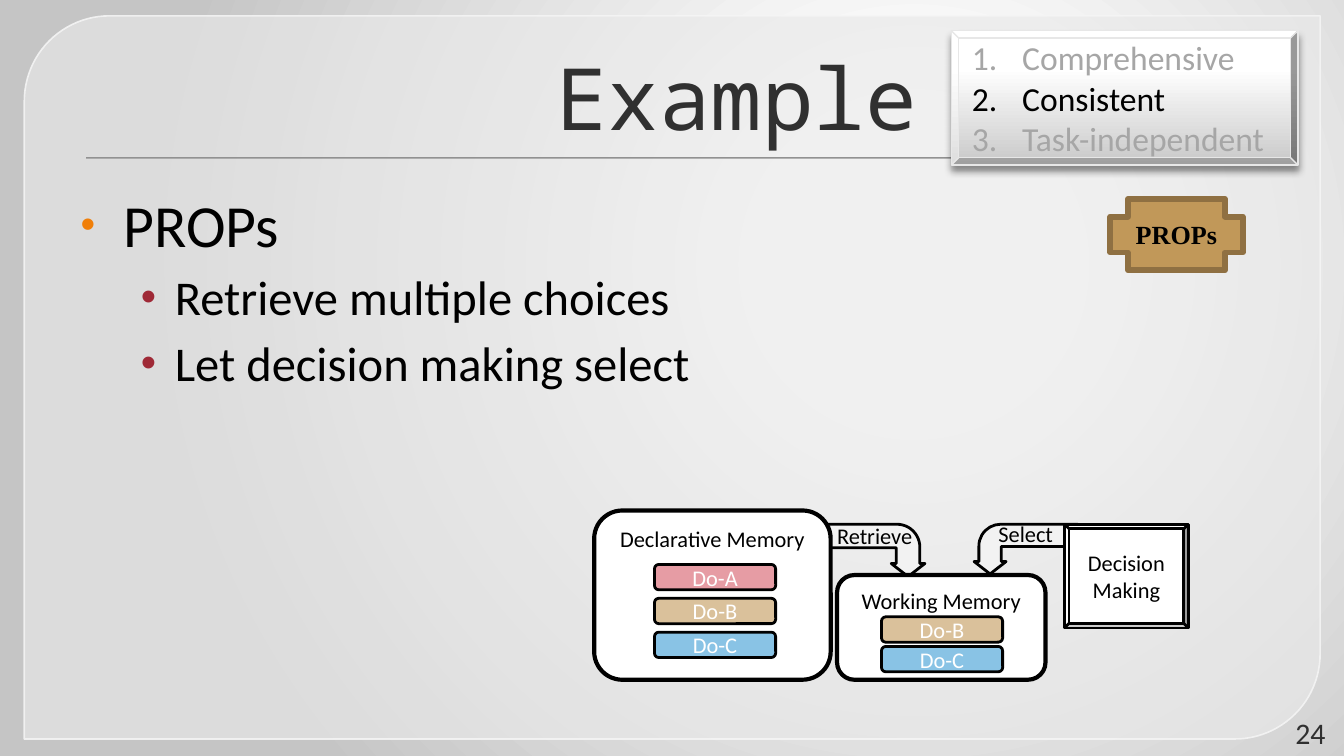
from lxml import etree
from pptx import Presentation
from pptx.dml.color import RGBColor
from pptx.enum.shapes import MSO_SHAPE
from pptx.enum.text import MSO_ANCHOR, MSO_AUTO_SIZE, PP_ALIGN
from pptx.oxml.ns import qn
from pptx.util import Cm, Pt

ROUND, BEVEL, BENT_ARROW = MSO_SHAPE.ROUNDED_RECTANGLE, MSO_SHAPE.BEVEL, MSO_SHAPE.BENT_ARROW
RECT, PLUS, PANEL = MSO_SHAPE.RECTANGLE, MSO_SHAPE.CROSS, MSO_SHAPE.ROUND_2_DIAG_RECTANGLE
TOP, MIDDLE, BOTTOM = MSO_ANCHOR.TOP, MSO_ANCHOR.MIDDLE, MSO_ANCHOR.BOTTOM
LEFT, CENTER, RIGHT = PP_ALIGN.LEFT, PP_ALIGN.CENTER, PP_ALIGN.RIGHT
NO_AUTOFIT = MSO_AUTO_SIZE.NONE

BLACK = RGBColor(0x00, 0x00, 0x00)
WHITE = RGBColor(0xFF, 0xFF, 0xFF)
DARK = RGBColor(0x30, 0x30, 0x30)
MUTED = RGBColor(0xA6, 0xA6, 0xA6)
RULE_GREY = RGBColor(0x91, 0x91, 0x91)
PANEL_GREY = RGBColor(0xE9, 0xE9, 0xE9)
PANEL_EDGE = RGBColor(0xF5, 0xF5, 0xF5)
AGENDA_EDGE = RGBColor(0xE7, 0xE7, 0xE7)
ARROW_GREY = RGBColor(0xF2, 0xF2, 0xF2)
AGENDA_GREY = RGBColor(0xC9, 0xC9, 0xC9)
BACK_GREY = RGBColor(0xC5, 0xC5, 0xC5)
ORANGE = RGBColor(0xF0, 0x7F, 0x09)
RED = RGBColor(0x9F, 0x29, 0x36)
PINK = RGBColor(0xE6, 0x9C, 0xA4)
TAN = RGBColor(0xDA, 0xC1, 0x9B)
BLUE = RGBColor(0x89, 0xC3, 0xE5)
BRONZE = RGBColor(0xC1, 0x98, 0x59)
BRONZE_EDGE = RGBColor(0x8F, 0x70, 0x42)

TIGHT = {"margin_left": 0, "margin_right": 0}
CHOICES = {"Do-A": PINK, "Do-B": TAN, "Do-C": BLUE}


def apply(target, values):
    for name, value in values.items():
        setattr(target, name, value)


def add_xml(parent, tag, **attributes):
    return etree.SubElement(parent, qn(tag), attributes)


def add_alpha(color_element, percent):
    add_xml(color_element, "a:alpha", val=str(percent * 1000))


def set_gradient(fill, owner, stops):
    """Replace the stops of the owner's gradient and return its element."""
    fill.gradient()
    gradient = owner.find(".//" + qn("a:gradFill"))
    for child in list(gradient):
        gradient.remove(child)
    stop_list = add_xml(gradient, "a:gsLst")
    for position, color in stops:
        stop = add_xml(stop_list, "a:gs", pos=str(position * 1000))
        add_xml(stop, "a:srgbClr", val=str(color))
    return gradient


class SlideBuilder:
    font = "Calibri"

    def __init__(self, slide):
        self.slide = slide

    def background(self):
        gradient = set_gradient(self.slide.background.fill, self.slide.element,
                                [(0, WHITE), (20, WHITE), (100, BACK_GREY)])
        circle = add_xml(gradient, "a:path", path="circle")
        add_xml(circle, "a:fillToRect", l="68000", t="35000", r="32000", b="65000")

    def shape(self, kind, box, fill, line=None, width=1.5, adjust=()):
        shape = self.slide.shapes.add_shape(kind, *map(Cm, box))
        shape.shadow.inherit = False
        for index, value in enumerate(adjust):
            shape.adjustments[index] = value
        shape.fill.solid()
        shape.fill.fore_color.rgb = fill
        if line is None:
            shape.line.fill.background()
        else:
            shape.line.color.rgb = line
            shape.line.width = Pt(width)
        return shape

    def add_words(self, paragraph, text, size, color=BLACK, align=CENTER, font=None, bold=False):
        paragraph.alignment = align
        run = paragraph.add_run()
        run.text = text
        apply(run.font, {"name": font or self.font, "size": Pt(size), "bold": bold})
        run.font.color.rgb = color

    def caption(self, shape, text, size=12, anchor=MIDDLE, frame_format=None, **style):
        frame = shape.text_frame
        apply(frame, {"word_wrap": True, "vertical_anchor": anchor, **(frame_format or {})})
        self.add_words(frame.paragraphs[0], text, size, **style)

    def label(self, box, text, size=12, **style):
        self.caption(self.slide.shapes.add_textbox(*map(Cm, box)), text, size, **style)

    def placeholder(self, index, box, anchor):
        holder = self.slide.placeholders[index]
        apply(holder, dict(zip(("left", "top", "width", "height"), map(Cm, box))))
        apply(holder.text_frame, {"auto_size": NO_AUTOFIT, "word_wrap": True,
                                  "vertical_anchor": anchor})
        return holder.text_frame

    def indent(self, paragraph, margin, first=0.0):
        properties = paragraph._p.get_or_add_pPr()
        properties.set("marL", str(Cm(margin)))
        properties.set("indent", str(Cm(first)))
        return properties

    def bullet(self, paragraph, color, percent):
        properties = paragraph._p.get_or_add_pPr()
        add_xml(add_xml(properties, "a:buClr"), "a:srgbClr", val=str(color))
        add_xml(properties, "a:buSzPct", val=str(percent * 1000))
        add_xml(properties, "a:buChar", char="•")

    def panel(self):
        """Draw the rounded backing and title rule behind the placeholders."""
        backing = self.shape(PANEL, (0.46, 0.3, 24.49, 13.67), PANEL_GREY, PANEL_EDGE, 0.87,
                             (0.118, 0))
        fill_color, line_color = backing.element.spPr.iter(qn("a:srgbClr"))
        add_alpha(fill_color, 65)
        add_alpha(line_color, 88)
        rule = self.shape(RECT, (1.63, 2.97, 22.23, 0.03), RULE_GREY)
        tree = self.slide.shapes.element
        for position, part in enumerate((backing, rule), start=2):
            tree.insert(position, part.element)

    def agenda(self, box, topics, current):
        card = self.shape(BEVEL, box, WHITE, AGENDA_EDGE, 0.75, (0.055,))
        gradient = set_gradient(card.fill, card.element,
                                [(0, AGENDA_GREY), (72, WHITE), (100, WHITE)])
        add_xml(gradient, "a:lin", ang=str(270 * 60000), scaled="0")
        shadow = add_xml(card.element.spPr.find(qn("a:effectLst")), "a:outerShdw",
                         blurRad=str(Pt(4)), dist=str(Pt(3)), dir=str(90 * 60000),
                         rotWithShape="0")
        add_alpha(add_xml(shadow, "a:srgbClr", val=str(BLACK)), 43)
        frame = card.text_frame
        apply(frame, {"word_wrap": True, "vertical_anchor": MIDDLE,
                      "margin_top": 0, "margin_bottom": 0})
        for number, topic in enumerate(topics):
            paragraph = frame.add_paragraph() if number else frame.paragraphs[0]
            add_xml(self.indent(paragraph, 0.95, -0.95), "a:buAutoNum", type="arabicPeriod")
            self.add_words(paragraph, topic, 18, BLACK if topic == current else MUTED, LEFT)

    def bent_arrow(self, box, mirrored=False):
        arrow = self.shape(BENT_ARROW, box, ARROW_GREY, BLACK,
                           adjust=(0.449, 0.322, 0.25, 0.438))
        arrow.rotation = 90
        if mirrored:
            arrow.element.spPr.find(qn("a:xfrm")).set("flipV", "1")

    def memory(self, box, title, choices, left, top, step):
        store = self.shape(ROUND, box, WHITE, BLACK, 2.25)
        self.caption(store, title, anchor=TOP)
        for row, choice in enumerate(choices):
            chip = self.shape(ROUND, (left, top + row * step, 2.29, 0.48), CHOICES[choice], BLACK)
            self.caption(chip, choice, color=WHITE, frame_format=TIGHT)


def main():
    deck = Presentation()
    apply(deck, {"slide_width": Cm(25.4), "slide_height": Cm(14.29)})
    builder = SlideBuilder(deck.slides.add_slide(deck.slide_layouts[1]))
    builder.background()
    builder.panel()

    heading = builder.placeholder(0, (1.27, 0.53, 16.31, 2.39), BOTTOM).paragraphs[0]
    builder.indent(heading, 0.15)
    builder.add_words(heading, "Example", 46, DARK, RIGHT, "Noto Sans Mono")

    body = builder.placeholder(1, (1.27, 3.43, 22.86, 9.42), TOP)
    main_point = body.paragraphs[0]
    builder.indent(main_point, 0.81, -0.81)
    builder.bullet(main_point, ORANGE, 70)
    main_point.space_before = Pt(0)
    builder.add_words(main_point, "PROPs", 32, align=LEFT)
    for detail in ("Retrieve multiple choices", "Let decision making select"):
        sub_point = body.add_paragraph()
        sub_point.level = 1
        builder.indent(sub_point, 1.78, -0.64)
        builder.bullet(sub_point, RED, 90)
        sub_point.space_before = Pt(4)
        builder.add_words(sub_point, detail, 26, align=LEFT)

    builder.label((24, 13.56, 1.3, 0.58), "24", 16, color=DARK, align=RIGHT)
    builder.agenda((17.98, 0.58, 6.55, 2.54),
                   ("Comprehensive", "Consistent", "Task-independent"), "Consistent")

    builder.bent_arrow((18.92, 9.4, 0.94, 1.96), mirrored=True)
    builder.bent_arrow((16.03, 9.45, 0.99, 1.91))
    arrow_labels = {"Select": (18.62, 9.7, 1.55, 0.76), "Retrieve": (15.57, 9.75, 1.96, 0.76)}
    for action, box in arrow_labels.items():
        builder.label(box, action, anchor=TOP, align=LEFT, frame_format={"word_wrap": False})
    builder.memory((15.82, 10.87, 3.94, 1.98), "Working Memory", ("Do-B", "Do-C"),
                   16.66, 11.66, 0.56)
    builder.memory((11.23, 9.65, 4.47, 3.2), "Declarative Memory", CHOICES, 12.37, 10.67, 0.64)

    decision = builder.shape(BEVEL, (20.12, 9.91, 2.34, 1.96), WHITE, BLACK, adjust=(0.043,))
    builder.caption(decision, "Decision Making", frame_format=TIGHT)
    badge = builder.shape(PLUS, (20.98, 3.76, 2.51, 1.35), BRONZE, BRONZE_EDGE, 3)
    builder.caption(badge, "PROPs", 14, font="Times New Roman", bold=True)
    deck.save("out.pptx")


if __name__ == "__main__":
    main()
